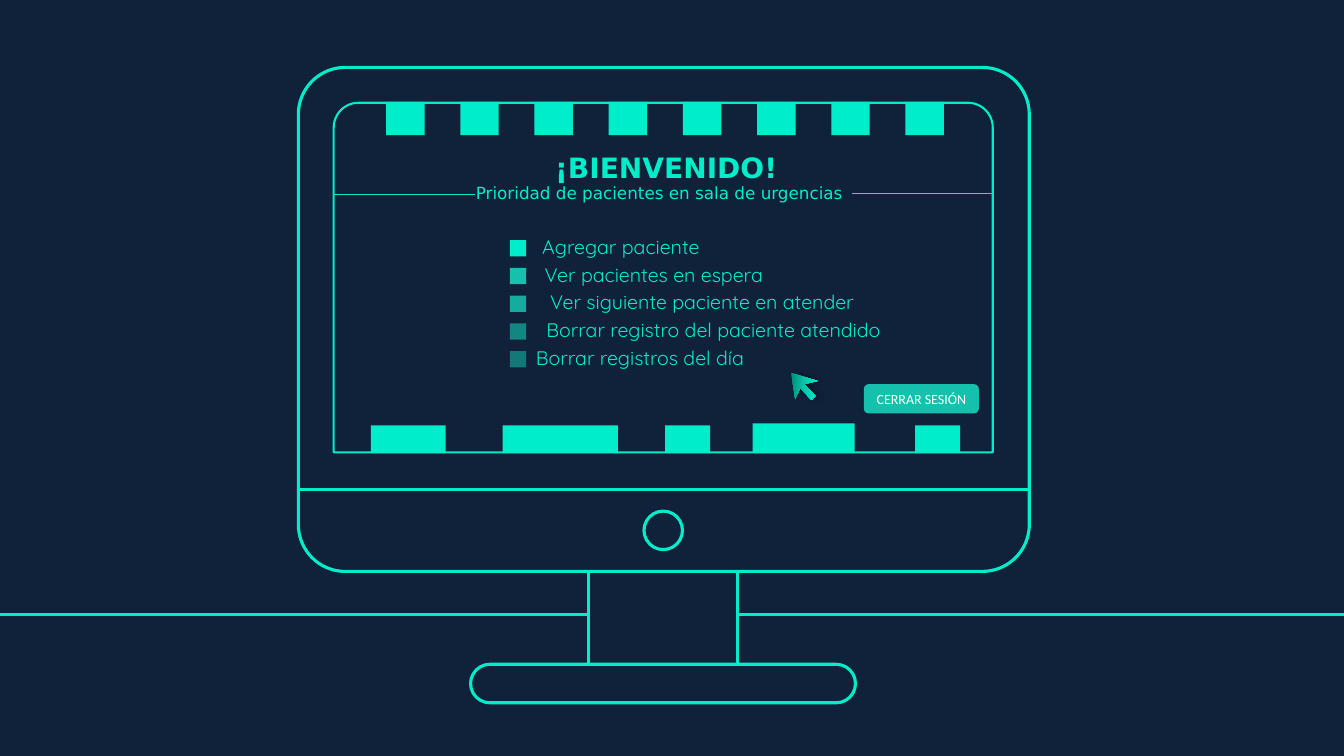
from lxml import etree
from pptx import Presentation
from pptx.dml.color import RGBColor
from pptx.enum.shapes import MSO_CONNECTOR, MSO_SHAPE
from pptx.enum.text import MSO_ANCHOR, PP_ALIGN
from pptx.oxml import parse_xml
from pptx.oxml.ns import qn
from pptx.util import Cm, Pt

RECTANGLE = MSO_SHAPE.RECTANGLE
ROUNDED = MSO_SHAPE.ROUNDED_RECTANGLE
TOP_ROUNDED = MSO_SHAPE.ROUND_2_SAME_RECTANGLE
OVAL = MSO_SHAPE.OVAL
STRAIGHT = MSO_CONNECTOR.STRAIGHT
CENTER = PP_ALIGN.CENTER
MIDDLE = MSO_ANCHOR.MIDDLE

NAVY = RGBColor(0x10, 0x21, 0x3A)
MINT = RGBColor(0x00, 0xED, 0xCA)
TEAL = RGBColor(0x15, 0xC0, 0xAC)
WHITE = RGBColor(0xFF, 0xFF, 0xFF)

TITLE = "¡BIENVENIDO!"
SUBTITLE = "Prioridad de pacientes en sala de urgencias"
BUTTON = "CERRAR SESIÓN"
OPTIONS = [
    ("Agregar paciente", 12.93, 5.44, MINT, 100),
    ("Ver pacientes en espera", 13.23, 6.5, TEAL, 100),
    ("Ver siguiente paciente en atender", 13.21, 8.97, TEAL, 88),
    ("Borrar registro del paciente atendido", 13.11, 9.75, TEAL, 64),
    ("Borrar registros del día", 13.21, 5.84, TEAL, 55),
]
OPTION_TOP, OPTION_STEP = 6.05, 0.7
BOTTOM_BLOCKS = [
    (9.35, 10.72, 1.88), (12.67, 10.72, 2.9), (16.76, 10.72, 1.14),
    (18.97, 10.67, 2.57), (23.06, 10.72, 1.14),
]
BLOCK_BOTTOM = 11.42
TOP_BLOCK_COUNT, TOP_BLOCK_LEFT, TOP_BLOCK_STEP = 8, 9.73, 1.87
CURSOR = [
    (19.94, 9.4), (20.6, 9.6), (20.27, 9.68), (20.55, 9.98),
    (20.45, 10.08), (20.17, 9.78), (20.04, 10.06),
]
DRAWING = 'xmlns:a="http://schemas.openxmlformats.org/drawingml/2006/main"'
CURSOR_FILL = (
    f'<a:gradFill {DRAWING} rotWithShape="1"><a:gsLst>'
    '<a:gs pos="0"><a:srgbClr val="008C78"/></a:gs>'
    '<a:gs pos="50000"><a:srgbClr val="00C8AA"/></a:gs>'
    '<a:gs pos="100000"><a:srgbClr val="00EDCA"/></a:gs>'
    '</a:gsLst><a:lin ang="180000" scaled="0"/></a:gradFill>'
)
CURSOR_SHADOW = (
    f'<a:effectLst {DRAWING}><a:outerShdw blurRad="50800" dist="38100" dir="0">'
    '<a:srgbClr val="000000"><a:alpha val="40000"/></a:srgbClr>'
    '</a:outerShdw></a:effectLst>'
)


def add_box(slide, kind, left, top, width, height, fill=None, line=0, adjust=None, alpha=100):
    shape = slide.shapes.add_shape(kind, Cm(left), Cm(top), Cm(width), Cm(height))
    shape.shadow.inherit = False
    if adjust is not None:
        shape.adjustments[0] = adjust
    if fill is None:
        shape.fill.background()
    else:
        shape.fill.solid()
        shape.fill.fore_color.rgb = fill
    if alpha < 100:
        color = shape._element.spPr.find(qn("a:solidFill"))[0]
        etree.SubElement(color, qn("a:alpha")).set("val", str(alpha * 1000))
    if line:
        shape.line.color.rgb = MINT
        shape.line.width = Pt(line)
    else:
        shape.line.fill.background()
    return shape


def add_line(slide, left, right, y, width):
    connector = slide.shapes.add_connector(STRAIGHT, Cm(left), Cm(y), Cm(right), Cm(y))
    connector.line.color.rgb = MINT
    connector.line.width = Pt(width)
    etree.SubElement(connector._element.spPr, qn("a:effectLst"))


def write(shape, text, size, font, color, bold=False):
    shape.text_frame.word_wrap = False
    paragraph = shape.text_frame.paragraphs[0]
    paragraph.alignment = CENTER
    run = paragraph.add_run()
    run.text = text
    run.font.size = Pt(size)
    run.font.name = font
    run.font.bold = bold
    run.font.color.rgb = color


def add_label(slide, text, left, top, width, height, size, font, bold=False):
    box = slide.shapes.add_textbox(Cm(left), Cm(top), Cm(width), Cm(height))
    write(box, text, size, font, MINT, bold)


def add_monitor(slide):
    add_line(slide, 0, 33.87, 15.49, 2.25)
    add_box(slide, RECTANGLE, 14.83, 14.4, 3.76, 2.57, NAVY, 2.25)
    add_box(slide, ROUNDED, 7.52, 1.7, 18.42, 12.7, line=2.25, adjust=0.093)
    add_box(slide, TOP_ROUNDED, 8.41, 2.59, 16.61, 8.81, line=1.5, adjust=0.071)
    for left, top, width in BOTTOM_BLOCKS:
        add_box(slide, RECTANGLE, left, top, width, BLOCK_BOTTOM - top, MINT)
    for index in range(TOP_BLOCK_COUNT):
        left = TOP_BLOCK_LEFT + index * TOP_BLOCK_STEP
        add_box(slide, RECTANGLE, left, 2.57, 0.97, 0.84, MINT)
    add_line(slide, 7.52, 25.91, 12.34, 2.25)
    add_box(slide, OVAL, 16.23, 12.88, 0.97, 0.97, line=2.25)
    add_box(slide, ROUNDED, 11.86, 16.74, 9.7, 0.97, NAVY, 2.25, 0.5)


def add_menu(slide):
    add_label(slide, TITLE, 13.64, 3.66, 6.3, 1.12, 20, "DejaVu Sans", True)
    add_label(slide, SUBTITLE, 11.21, 4.47, 10.82, 0.76, 12, "DejaVu Sans")
    for index, (text, left, width, color, alpha) in enumerate(OPTIONS):
        top = OPTION_TOP + index * OPTION_STEP
        add_box(slide, RECTANGLE, 12.85, top, 0.41, 0.41, color, alpha=alpha)
        add_label(slide, text, left, top - 0.26, width, 0.86, 14, "Quicksand")
    add_line(slide, 8.41, 11.96, 4.9, 1)
    add_line(slide, 21.46, 25.02, 4.88, 1)
    button = add_box(slide, ROUNDED, 21.77, 9.68, 2.9, 0.74, TEAL)
    button.text_frame.vertical_anchor = MIDDLE
    write(button, BUTTON, 10, "Calibri", WHITE)


def add_cursor(slide):
    points = [(Cm(x), Cm(y)) for x, y in CURSOR]
    builder = slide.shapes.build_freeform(*points[0])
    builder.add_line_segments(points[1:], close=True)
    cursor = builder.convert_to_shape()
    cursor.line.fill.background()
    properties = cursor._element.spPr
    properties.find(qn("a:custGeom")).addnext(parse_xml(CURSOR_FILL))
    properties.append(parse_xml(CURSOR_SHADOW))


def main():
    presentation = Presentation()
    presentation.slide_width = Cm(33.87)
    presentation.slide_height = Cm(19.05)
    slide = presentation.slides.add_slide(presentation.slide_layouts[6])
    slide.background.fill.solid()
    slide.background.fill.fore_color.rgb = NAVY
    add_monitor(slide)
    add_menu(slide)
    add_cursor(slide)
    presentation.save("out.pptx")


if __name__ == "__main__":
    main()
